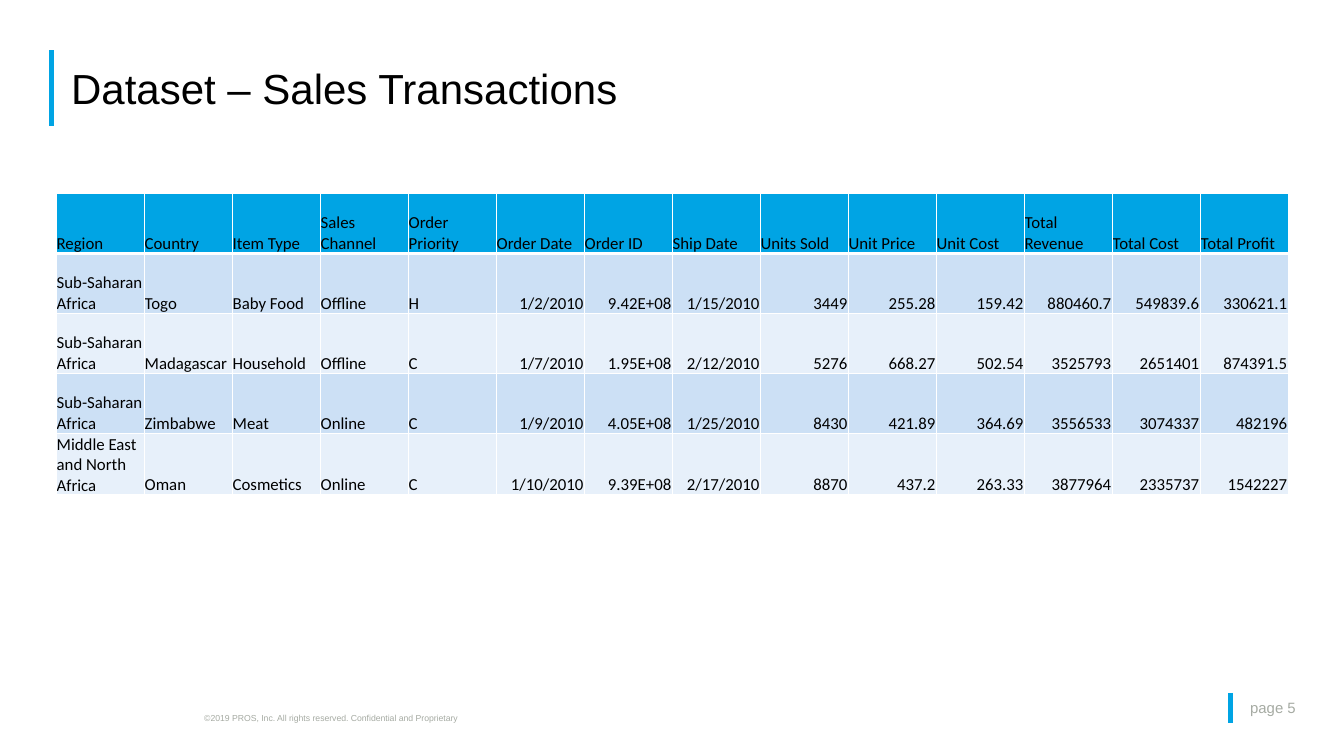
from lxml import etree
from pptx import Presentation
from pptx.dml.color import RGBColor
from pptx.enum import shapes, text
from pptx.oxml.ns import qn
from pptx.util import Inches, Pt

WIDE, HIGH = Inches(20), Inches(11.25)
INK = {"blue": "00A4E4", "black": "000000", "gray": "A6ABA3",
       "white": "FFFFFF", "dark": "CCE0F5", "light": "E7F0FA"}
# Left, top, width, height in percent of the slide
HEAD = (3.85, 6.67, 95, 10)
GRID = (4.17, 25.6, 91.67, 39.7)
NOTE = (14.7, 94.4, 23.1, 2.49)
PAGE = (91.55, 91.64, 7, 4)

ROWS = [
    ["Region", "Country", "Item Type", "Sales Channel", "Order Priority",
     "Order Date", "Order ID", "Ship Date", "Units Sold", "Unit Price",
     "Unit Cost", "Total Revenue", "Total Cost", "Total Profit"],
    ["Sub-Saharan Africa", "Togo", "Baby Food", "Offline", "H",
     "1/2/2010", "9.42E+08", "1/15/2010", "3449", "255.28",
     "159.42", "880460.7", "549839.6", "330621.1"],
    ["Sub-Saharan Africa", "Madagascar", "Household", "Offline", "C",
     "1/7/2010", "1.95E+08", "2/12/2010", "5276", "668.27",
     "502.54", "3525793", "2651401", "874391.5"],
    ["Sub-Saharan Africa", "Zimbabwe", "Meat", "Online", "C",
     "1/9/2010", "4.05E+08", "1/25/2010", "8430", "421.89",
     "364.69", "3556533", "3074337", "482196"],
    ["Middle East and North Africa", "Oman", "Cosmetics", "Online", "C",
     "1/10/2010", "9.39E+08", "2/17/2010", "8870", "437.2",
     "263.33", "3877964", "2335737", "1542227"],
]
WORDS = 5  # leading columns that hold words; the rest hold figures


def tint(name):
    return RGBColor.from_string(INK[name])


def place(box):
    x, y, w, h = box
    return [int(n) for n in (WIDE * x / 100, HIGH * y / 100,
                             WIDE * w / 100, HIGH * h / 100)]


def inner(box, part):
    """Turn shares of a box into percent of the slide."""
    x, y, w, h = box
    a, b, c, d = part
    return x + a * w, y + b * h, c * w, d * h


def style(para, face, size, color):
    para.font.name = face
    para.font.size = Pt(size)
    para.font.bold = False
    para.font.color.rgb = tint(color)


def label(slide, box, words, size, color, anchor, wrap=True):
    frame = slide.shapes.add_textbox(*place(box)).text_frame
    frame.word_wrap = wrap
    frame.auto_size = text.MSO_AUTO_SIZE.SHAPE_TO_FIT_TEXT
    frame.vertical_anchor = anchor
    para = frame.paragraphs[0]
    para.text = words
    style(para, "Arial", size, color)
    return para


def marked(slide, box, part, words, size, color):
    """A text with a blue bar along the left side of its box."""
    x, y, _, h = place(box)
    bar = slide.shapes.add_connector(
        shapes.MSO_CONNECTOR.STRAIGHT, x, y, x, y + h)
    bar.line.color.rgb = tint("blue")
    bar.line.width = Pt(5)
    etree.SubElement(bar._element.spPr, qn("a:effectLst"))
    return label(slide, inner(box, part), words, size, color,
                 text.MSO_ANCHOR.MIDDLE)


def note(slide, box):
    para = label(
        slide, box,
        "©2019 PROS, Inc. All rights reserved. Confidential and Proprietary",
        16, "gray", text.MSO_ANCHOR.BOTTOM, wrap=False)
    para.runs[0]._r.get_or_add_rPr().set("baseline", "30000")


def edge(cell, side, width):
    line = etree.SubElement(cell._tc.get_or_add_tcPr(), qn("a:" + side),
                            w=str(Pt(width)))
    fill = etree.SubElement(line, qn("a:solidFill"))
    etree.SubElement(fill, qn("a:srgbClr"), val=INK["white"])


def sales(slide, box):
    x, y, w, h = place(box)
    count, wide = len(ROWS), len(ROWS[0])
    table = slide.shapes.add_table(count, wide, x, y, w, h).table
    table.first_row = table.horz_banding = False
    for col in table.columns:
        col.width = w // wide
    for r, row in enumerate(ROWS):
        table.rows[r].height = h // count
        shade = "blue" if r == 0 else ("light", "dark")[r % 2]
        for c, words in enumerate(row):
            cell = table.cell(r, c)
            # Borders, thicker below the header
            for side in ("lnL", "lnR", "lnT", "lnB"):
                thick = (r, side) in ((0, "lnB"), (1, "lnT"))
                edge(cell, side, 3 if thick else 1)
            cell.fill.solid()
            cell.fill.fore_color.rgb = tint(shade)
            # Text
            cell.margin_left = cell.margin_right = Inches(0.01)
            cell.margin_top, cell.margin_bottom = Inches(0.01), 0
            cell.vertical_anchor = text.MSO_ANCHOR.BOTTOM
            para = cell.text_frame.paragraphs[0]
            para.text = words
            if r and c >= WORDS:
                para.alignment = text.PP_ALIGN.RIGHT
            style(para, "Calibri", 18, "black")


def main():
    deck = Presentation()
    deck.slide_width, deck.slide_height = WIDE, HIGH
    slide = deck.slides.add_slide(deck.slide_layouts[6])
    # Footer
    note(slide, NOTE)
    marked(slide, PAGE, (0.14, 0.07, 0.86, 0.82), "page 5", 16, "gray")
    # Title
    title = marked(slide, HEAD, (0.01, 0.18, 0.87, 0.7),
                   "Dataset – Sales Transactions", 45, "black")
    title.line_spacing = 0.9
    # Table
    sales(slide, GRID)
    deck.save("out.pptx")


if __name__ == "__main__":
    main()
